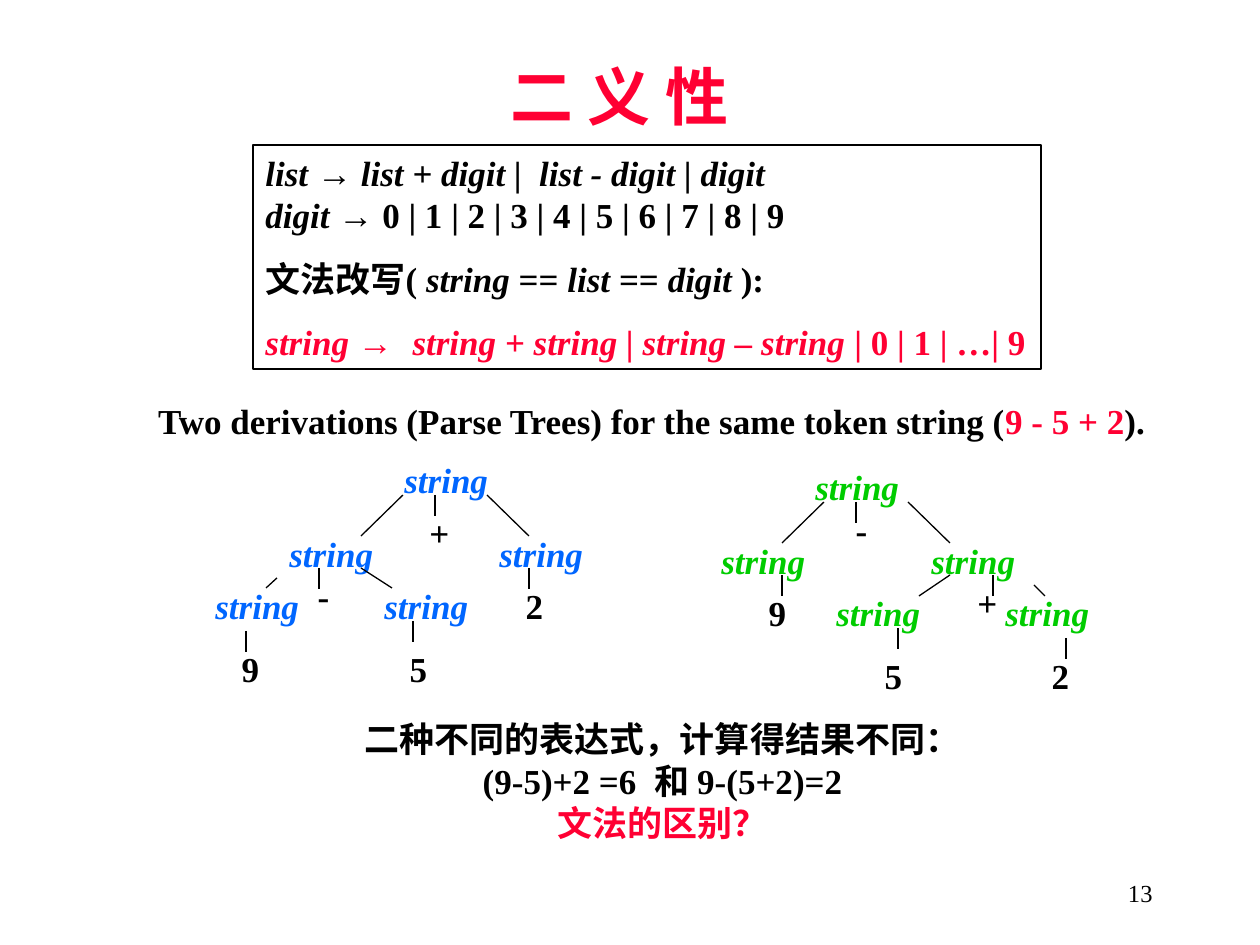
import pptx
import pptx.dml.color
import pptx.enum.shapes
import pptx.enum.text
import pptx.oxml.ns
import pptx.util
import lxml.etree

RGB = pptx.dml.color.RGBColor
BLACK = RGB(0x00, 0x00, 0x00)
RED = RGB(0xFF, 0x00, 0x33)
BLUE = RGB(0x00, 0x66, 0xFF)
GREEN = RGB(0x00, 0xCC, 0x00)

ALIGN = pptx.enum.text.PP_ALIGN
MIDDLE = pptx.enum.text.MSO_ANCHOR.MIDDLE
FIT = pptx.enum.text.MSO_AUTO_SIZE
KIND = pptx.enum.shapes
SCALE = pptx.util.Inches(1) / 126

SLANT = {"italic": True}
ARROW = {"name": "Arial"}
HOT = {"color": RED}


def emu(*sizes):
    return [round(size * SCALE) for size in sizes]


class Page:
    base = {"name": "Times New Roman", "size": 20, "bold": True,
            "italic": False, "color": BLACK}
    frame = {"word_wrap": True, "auto_size": FIT.SHAPE_TO_FIT_TEXT,
             "vertical_anchor": pptx.enum.text.MSO_ANCHOR.TOP}
    pen = 0.75
    gap = 12.5
    tick = 21
    word = (116, 55)
    leaf = (53, 55)

    def __init__(self, deck):
        self.slide = deck.slides.add_slide(deck.slide_layouts[6])
        self.shapes = self.slide.shapes

    def label(self, shape, lines, align=ALIGN.LEFT, spaced=(), **frame):
        text = shape.text_frame
        for key, value in {**self.frame, **frame}.items():
            setattr(text, key, value)
        for row, runs in enumerate(lines):
            para = text.add_paragraph() if row else text.paragraphs[0]
            para.alignment = align
            if row in spaced:
                para.space_before = pptx.util.Pt(self.gap)
            for words, style in runs:
                run = para.add_run()
                run.text = words
                look = {**self.base, **style}
                run.font.color.rgb = look.pop("color")
                look["size"] = pptx.util.Pt(look["size"])
                for key, value in look.items():
                    setattr(run.font, key, value)

    def text(self, box, lines, **kind):
        self.label(self.shapes.add_textbox(*emu(*box)), lines, **kind)

    def panel(self, box, lines, **kind):
        shape = self.shapes.add_shape(KIND.MSO_SHAPE.RECTANGLE, *emu(*box))
        shape.shadow.inherit = False
        shape.fill.background()
        shape.line.color.rgb = BLACK
        shape.line.width = pptx.util.Pt(self.pen)
        self.label(shape, lines, **kind)

    def line(self, *ends):
        link = self.shapes.add_connector(KIND.MSO_CONNECTOR.STRAIGHT, *emu(*ends))
        link.line.color.rgb = BLACK
        link.line.width = pptx.util.Pt(self.pen)
        props = link._element.spPr
        lxml.etree.SubElement(props, pptx.oxml.ns.qn("a:effectLst"))

    def tree(self, left, top, color, nodes, leaves, ticks, edges):
        self.shapes = self.slide.shapes.add_group_shape().shapes
        for x, y in nodes:
            self.text((left + x, top + y, *self.word),
                      [[("string", {**SLANT, "color": color})]])
        for mark, x, y in leaves:
            self.text((left + x, top + y, *self.leaf), [[(mark, {})]],
                      align=ALIGN.CENTER)
        stems = [(x, y, x, y + self.tick) for x, y in ticks]
        for x, y, right, base in stems + edges:
            self.line(left + x, top + y, left + right, top + base)
        self.shapes = self.slide.shapes


def main():
    deck = pptx.Presentation()
    deck.slide_width, deck.slide_height = emu(1260, 945)
    page = Page(deck)

    page.text((84, 35, 1071, 120),
              [[("二 义 性", {"name": "Arial", "size": 36, "color": RED})]],
              align=ALIGN.CENTER, vertical_anchor=MIDDLE, auto_size=FIT.NONE)

    page.tree(
        203, 452, BLUE,
        nodes=[(0, 126), (169, 126), (74, 74), (284, 74), (189, 0)],
        leaves=[("+", 210, 53), ("2", 305, 126), ("-", 94, 116),
                ("5", 189, 189), ("9", 21, 189)],
        ticks=[(43, 179), (232, 43), (116, 116), (210, 169), (326, 116)],
        edges=[(284, 43, 326, 84), (158, 84, 200, 43),
               (158, 116, 189, 136), (74, 126, 63, 136)])

    page.panel((253, 145, 788, 224), [
        [("list ", SLANT), ("→", ARROW),
         (" list + digit |  list - digit | digit", SLANT)],
        [("digit ", SLANT), ("→", ARROW),
         (" 0 | 1 | 2 | 3 | 4 | 5 | 6 | 7 | 8 | 9", {})],
        [("文法改写( ", {}), ("string ", SLANT), ("== ", {}),
         ("list ", SLANT), ("== ", {}), ("digit ", SLANT), ("):", {})],
        [("string ", {**SLANT, **HOT}), ("→  ", {**ARROW, **HOT}),
         ("string + string | string – string", {**SLANT, **HOT}),
         (" | 0 | 1 | …| 9", HOT)],
    ], spaced=(2, 3))

    page.text((142, 393, 1019, 55), [
        [("Two derivations (Parse Trees) for the same token string (", {}),
         ("9 - 5 + 2", HOT), (").", {})],
    ], align=ALIGN.CENTER, word_wrap=False)

    page.tree(
        709, 459, GREEN,
        nodes=[(284, 126), (115, 126), (210, 74), (0, 74), (94, 0)],
        leaves=[("-", 126, 43), ("9", 42, 126), ("+", 252, 116),
                ("5", 158, 189), ("2", 325, 189)],
        ticks=[(357, 179), (147, 43), (284, 116), (189, 169), (73, 116)],
        edges=[(115, 43, 73, 84), (241, 84, 199, 43),
               (241, 116, 210, 137), (325, 126, 336, 137)])

    page.text((352, 711, 621, 139), [
        [("二种不同的表达式，计算得结果不同：", {})],
        [("(9-5)+2 =6  和 9-(5+2)=2", {})],
        [("文法的区别？", HOT)],
    ], align=ALIGN.CENTER, word_wrap=False)

    page.text((903, 861, 262, 63), [[("13", {"size": 14, "bold": False})]],
              align=ALIGN.RIGHT, vertical_anchor=MIDDLE, auto_size=FIT.NONE)

    deck.save("out.pptx")


if __name__ == "__main__":
    main()
